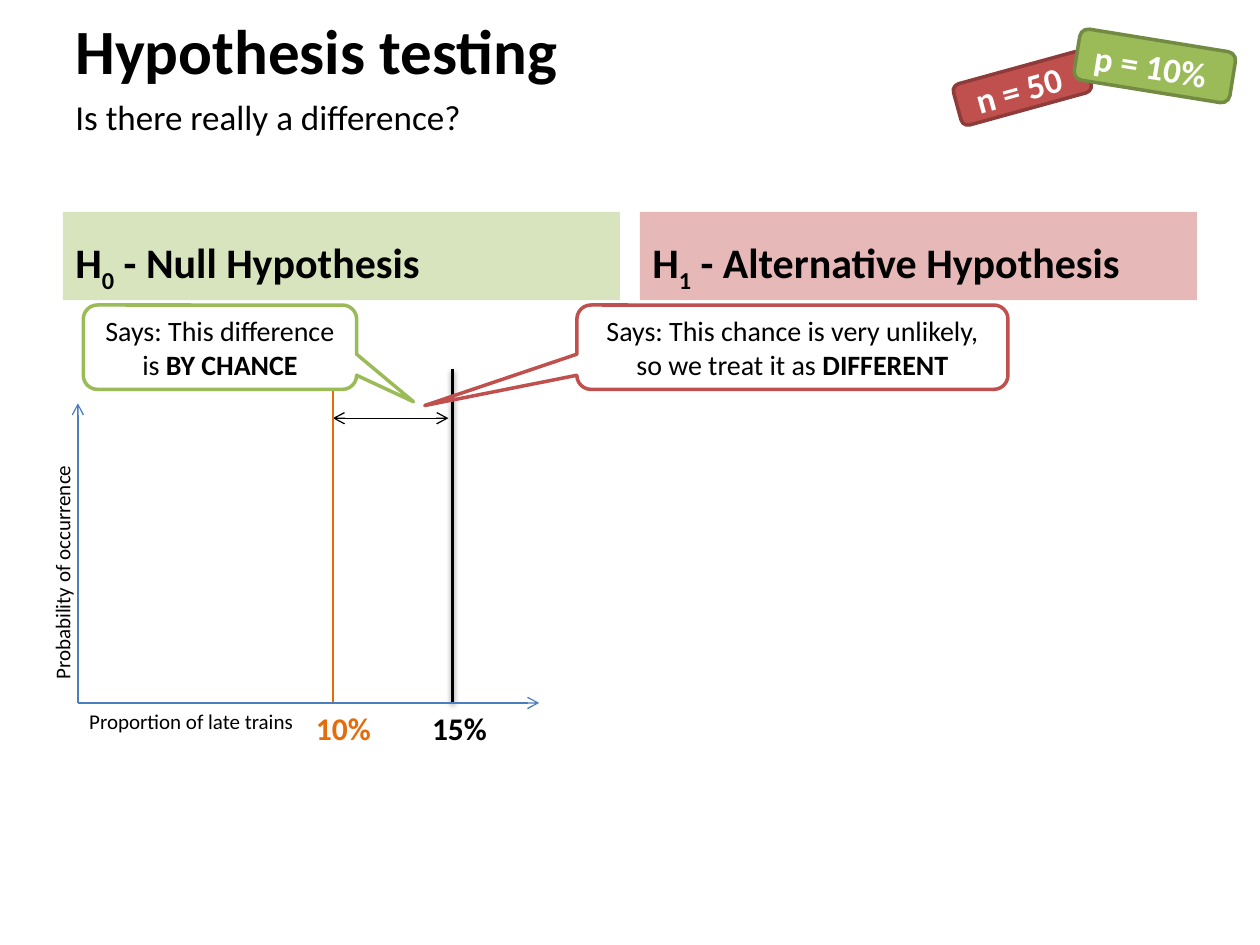
from dataclasses import dataclass

from lxml import etree
from pptx import Presentation
from pptx.dml.color import RGBColor
from pptx.enum import shapes, text
from pptx.oxml import ns
from pptx.util import Cm, Pt

COLORS = {
    "black": "000000", "white": "FFFFFF", "orange": "E46C0A", "axis": "4B7EBC",
    "red": "C0504D", "dark_red": "8E3B39", "pale_red": "E6B9B8",
    "green": "9BBB59", "dark_green": "738A42", "pale_green": "D7E4BD",
}
FONT = "Calibri"
AXIS_X, AXIS_Y = 1.57, 14.17
EXPECTED_X, OBSERVED_X = 6.71, 9.12
Box = tuple[float, float, float, float]
SHAPE = shapes.MSO_SHAPE
ANCHOR = text.MSO_ANCHOR
ALIGN = text.PP_ALIGN


@dataclass
class Run:
    text: str
    bold: bool = False
    baseline: int = 0


@dataclass
class Label:
    text: str
    box: Box
    size: int
    color: str = "black"
    bold: bool = False
    wrap: bool = False
    rotation: float = 0


@dataclass
class Block:
    kind: SHAPE
    box: Box
    runs: list[Run]
    size: int
    fill: str
    line: str | None = None
    color: str = "black"
    anchor: ANCHOR = ANCHOR.MIDDLE
    align: ALIGN = ALIGN.CENTER
    rotation: float = 0
    adjustments: tuple[float, ...] = ()


@dataclass
class Line:
    start: tuple[float, float]
    end: tuple[float, float]
    color: str
    width: float = 0.75
    head: bool = False
    tail: bool = False
    shadow: bool = False


def rgb(name: str) -> RGBColor:
    return RGBColor.from_string(COLORS[name])


def format_run(r, size: int, color: str, bold: bool) -> None:
    r.font.name, r.font.size, r.font.bold = FONT, Pt(size), bold
    r.font.color.rgb = rgb(color)


def draw_label(s, label: Label) -> None:
    sp = s.shapes.add_textbox(*map(Cm, label.box))
    sp.rotation = label.rotation
    tf = sp.text_frame
    tf.word_wrap = label.wrap
    tf.text = label.text
    format_run(tf.paragraphs[0].runs[0], label.size, label.color, label.bold)


def draw_block(s, block: Block) -> None:
    sp = s.shapes.add_shape(block.kind, *map(Cm, block.box))
    sp.shadow.inherit = False
    sp.rotation = block.rotation
    for i, value in enumerate(block.adjustments):
        sp.adjustments[i] = value
    sp.fill.solid()
    sp.fill.fore_color.rgb = rgb(block.fill)
    if block.line:
        sp.line.color.rgb, sp.line.width = rgb(block.line), Pt(2)
    else:
        sp.line.fill.background()
    tf = sp.text_frame
    tf.word_wrap, tf.vertical_anchor = True, block.anchor
    p = tf.paragraphs[0]
    p.alignment = block.align
    for run in block.runs:
        r = p.add_run()
        r.text = run.text
        format_run(r, block.size, block.color, run.bold)
        if run.baseline:
            r.font._element.set("baseline", str(run.baseline * 1000))


def draw_line(s, line: Line) -> None:
    cx = s.shapes.add_connector(shapes.MSO_CONNECTOR.STRAIGHT,
                                *map(Cm, line.start + line.end))
    cx.line.color.rgb, cx.line.width = rgb(line.color), Pt(line.width)
    ln = cx.line._get_or_add_ln()
    for tag, wanted in (("a:headEnd", line.head), ("a:tailEnd", line.tail)):
        if wanted:
            etree.SubElement(ln, ns.qn(tag), type="arrow")
    effects = etree.SubElement(cx._element.spPr, ns.qn("a:effectLst"))
    if line.shadow:
        shadow = etree.SubElement(effects, ns.qn("a:outerShdw"), blurRad=str(Pt(3.1)),
                                  dist=str(Pt(1.6)), dir="5400000", rotWithShape="0")
        color = etree.SubElement(shadow, ns.qn("a:srgbClr"), val=COLORS["black"])
        etree.SubElement(color, ns.qn("a:alpha"), val="38000")


def hypothesis(left: float, index: str, name: str, fill: str) -> Block:
    runs = [Run("H", True), Run(index, True, -25), Run(f" - {name} Hypothesis", True)]
    return Block(SHAPE.RECTANGLE, (left, 4.27, 11.23, 1.78), runs, 24, fill,
                 anchor=ANCHOR.BOTTOM, align=ALIGN.LEFT)


def callout(left: float, width: float, claim: str, verdict: str, line: str,
            tip: tuple[float, float]) -> Block:
    return Block(SHAPE.ROUNDED_RECTANGULAR_CALLOUT, (left, 6.15, width, 1.7),
                 [Run(claim), Run(verdict, True)], 16, "white", line,
                 adjustments=(*tip, 0.167))


def badge(content: str, box: Box, rotation: float, color: str) -> Block:
    return Block(SHAPE.ROUNDED_RECTANGLE, box, [Run(content, True)], 20, color,
                 f"dark_{color}", "white", rotation=rotation)


LINES = [
    Line((OBSERVED_X, AXIS_Y), (OBSERVED_X, 7.44), "black", 2, shadow=True),
    Line((EXPECTED_X, 8.43), (9.04, 8.43), "black", head=True, tail=True),
    Line((EXPECTED_X, AXIS_Y), (EXPECTED_X, 7.67), "orange"),
    Line((AXIS_X, AXIS_Y), (10.87, AXIS_Y), "axis", tail=True),
    Line((AXIS_X, AXIS_Y), (AXIS_X, 8.13), "axis", tail=True),
]
BLOCKS = [
    hypothesis(1.27, "0", "Null", "pale_green"),
    hypothesis(12.9, "1", "Alternative", "pale_red"),
    callout(11.63, 8.69, "Says: This chance is very unlikely, so we treat it as",
            " DIFFERENT", "red", (-0.853, 0.692)),
    callout(1.68, 5.51, "Says: This difference is ", "BY CHANCE", "green", (0.708, 0.647)),
    badge("n = 50 ", (19.25, 1.35, 2.72, 0.86), 344.6, "red"),
    badge("p = 10% ", (21.69, 0.81, 3.18, 1.04), 9.2, "green"),
]
LABELS = [
    Label("Hypothesis testing", (1.27, 0.1, 22.86, 3.18), 36, bold=True, wrap=True),
    Label("Is there really a difference?", (1.27, 1.8, 8.38, 1.12), 20),
    Label("Probability of occurrence", (-1.19, 11.13, 4.88, 0.76), 12, rotation=270),
    Label("Proportion of late trains", (1.55, 14.15, 4.67, 0.76), 12),
    Label("10%", (6.12, AXIS_Y, 1.63, 1.02), 18, "orange", True),
    Label("15%", (8.46, AXIS_Y, 1.63, 1.02), 18, bold=True),
]


def main() -> None:
    prs = Presentation()
    prs.slide_width, prs.slide_height = Cm(25.4), Cm(19.05)
    s = prs.slides.add_slide(prs.slide_layouts[6])
    for line in LINES:
        draw_line(s, line)
    for block in BLOCKS:
        draw_block(s, block)
    for label in LABELS:
        draw_label(s, label)
    prs.save("out.pptx")


if __name__ == "__main__":
    main()
